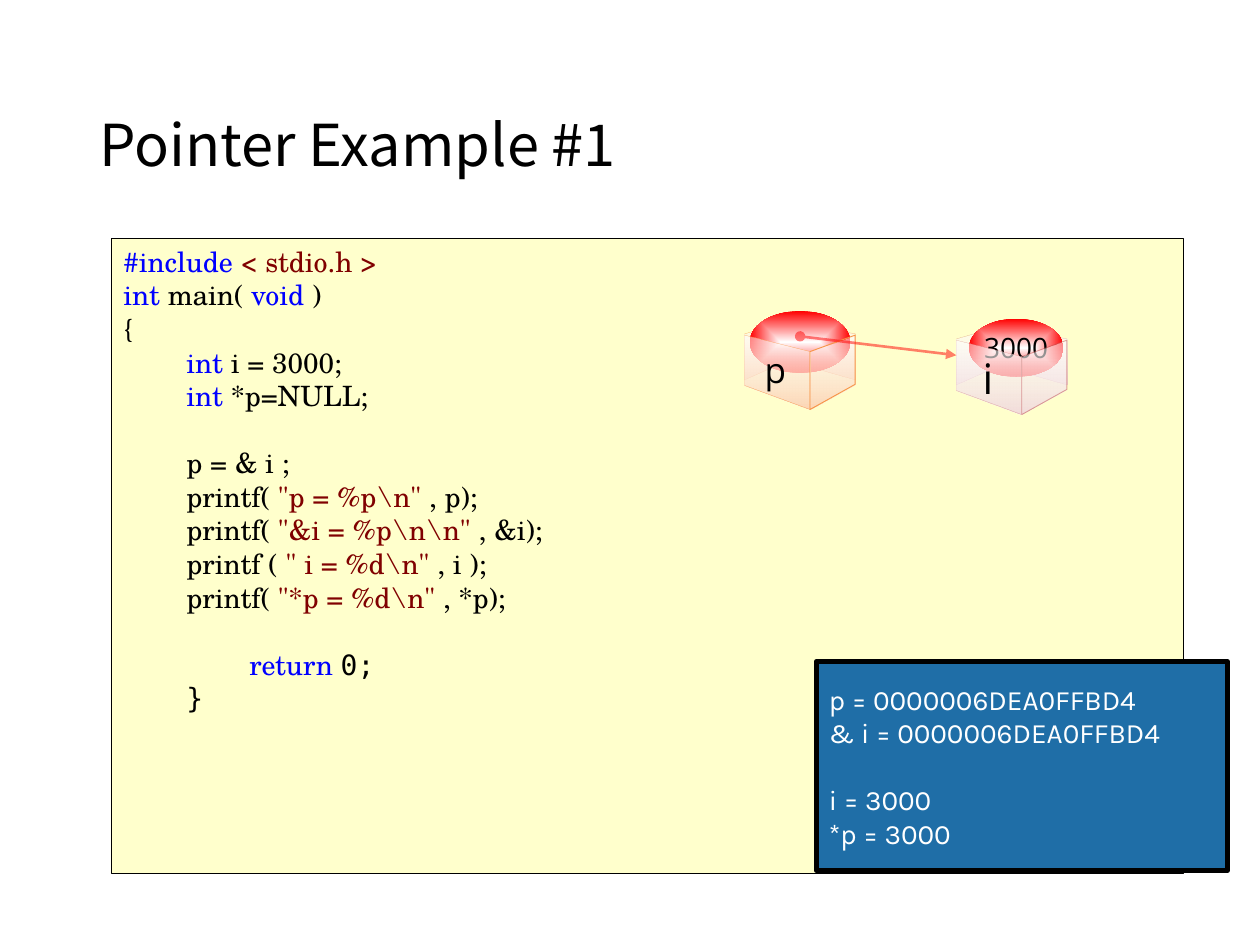
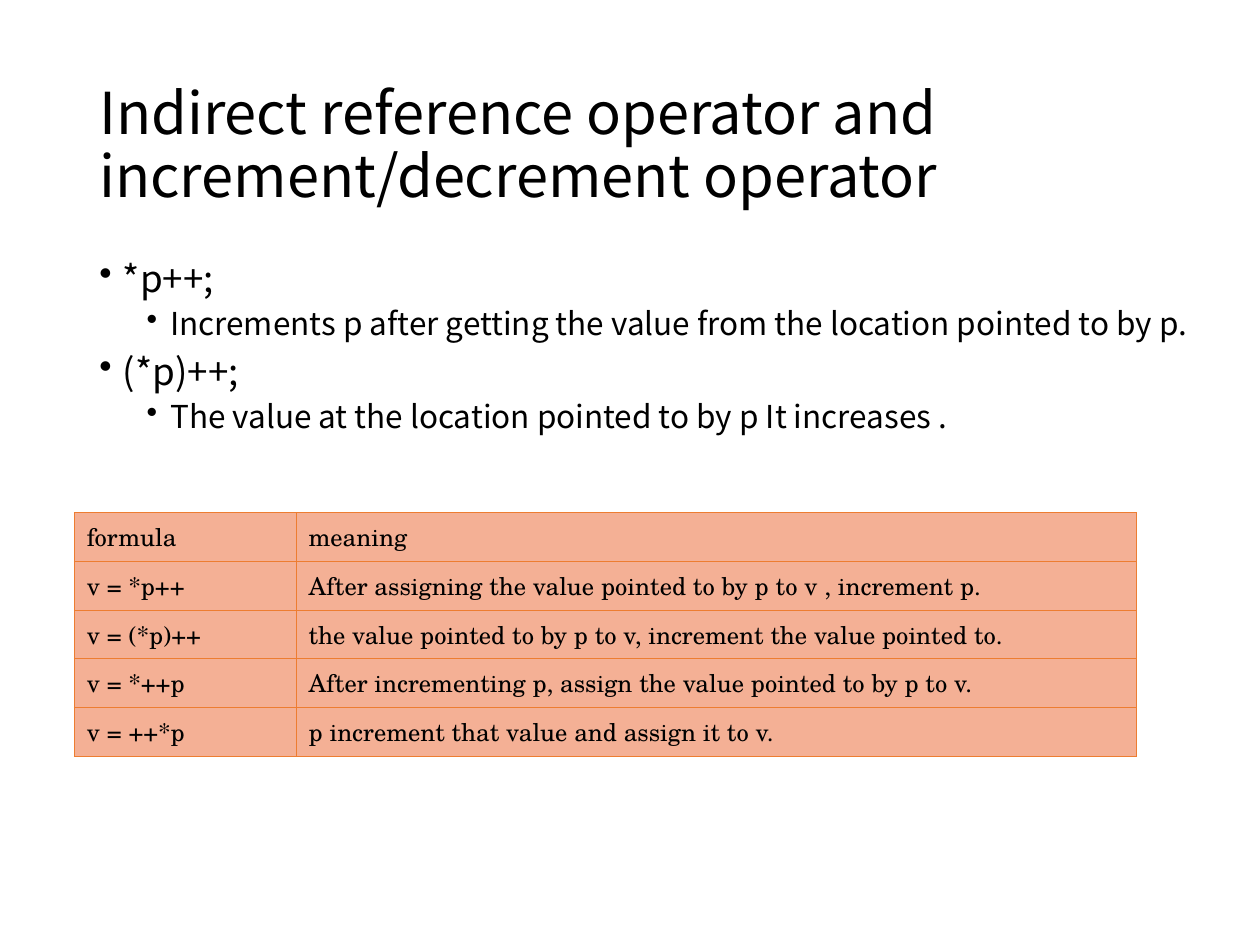
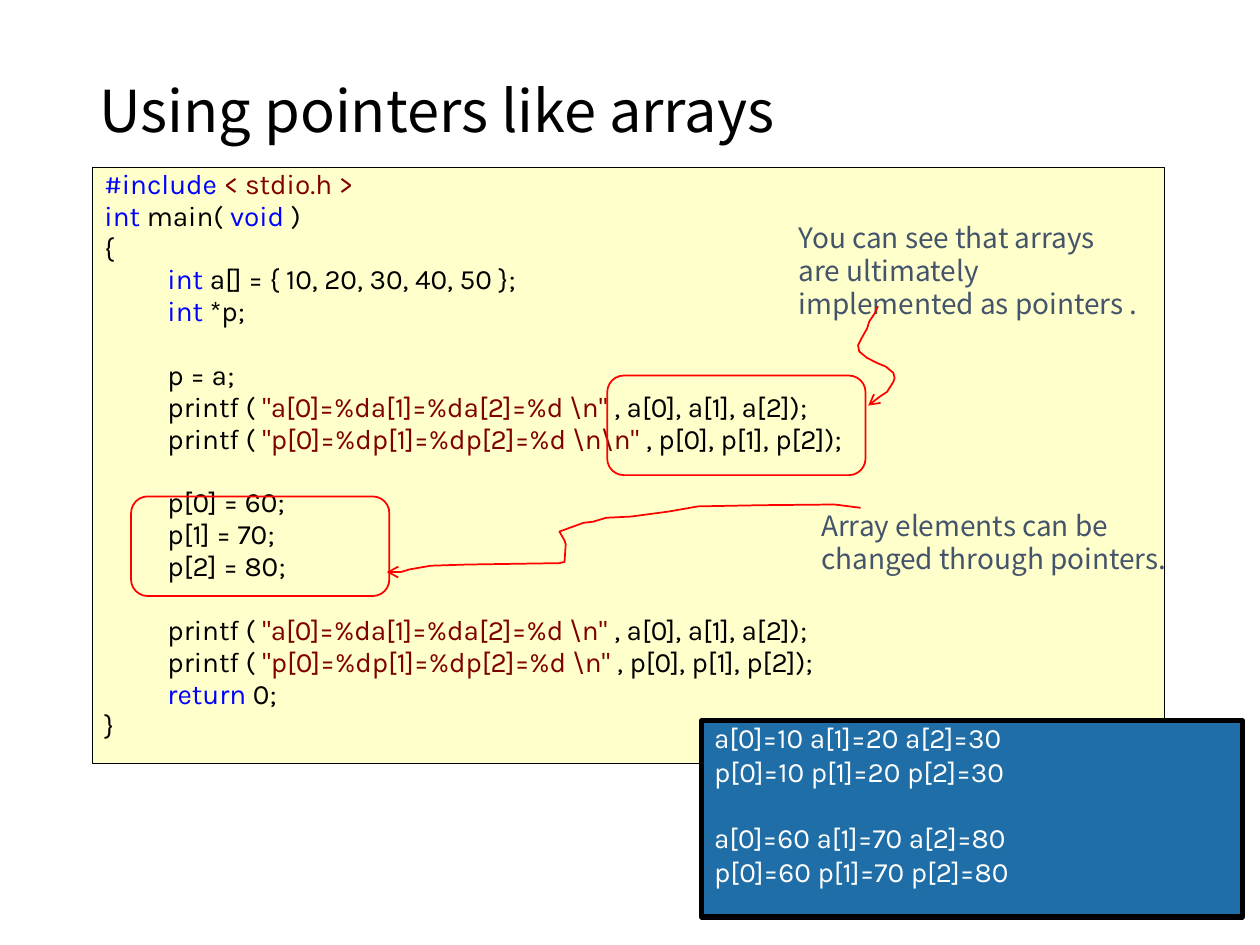
from typing import NamedTuple

from lxml.etree import SubElement
from pptx import Presentation
from pptx.dml.color import RGBColor
from pptx.enum.dml import MSO_FILL
from pptx.enum.shapes import MSO_CONNECTOR, MSO_SHAPE
from pptx.enum.text import MSO_ANCHOR, PP_ALIGN
from pptx.oxml.ns import qn
from pptx.util import Pt

SANS, SERIF, KARLA = "Noto Sans CJK KR", "TeX Gyre Schola", "Karla"
MONO, LABEL = "DejaVu Sans Mono", "Open Sans"
BLACK, WHITE, RED = "000000", "FFFFFF", "FF0000"
KEYWORD, STRING = "0000FF", "800000"
CODE_FILL, CONSOLE_FILL, NOTE = "FFFFCC", "1F6EA7", "44546A"
TABLE_FILL, TABLE_LINE = "F4B095", "ED7D31"
INDENT = 36


class Box(NamedTuple):
    left: float
    top: float
    width: float
    height: float

    def emu(self) -> list:
        return [Pt(v) for v in self]


class Run(NamedTuple):
    text: str
    color: str | None = None
    font: str | None = None


class Line(NamedTuple):
    runs: tuple
    level: int = 0
    gap: float = 0


class Cube(NamedTuple):
    left: float
    top: float
    tint: str
    edge: str
    edge_alpha: int
    disc: Box
    value: str
    name: str
    name_box: Box
    name_size: float


def kw(text: str) -> Run:
    return Run(text, KEYWORD)


def st(text: str) -> Run:
    return Run(text, STRING)


def line(*runs, level: int = 0, gap: float = 0) -> Line:
    return Line(tuple(Run(r) if isinstance(r, str) else r for r in runs), level, gap)


def rgb(color: str) -> RGBColor:
    return RGBColor.from_string(color)


def set_alpha(el, percent: int) -> None:
    """Make the first RGB colour below el partly transparent."""
    SubElement(el.find(".//" + qn("a:srgbClr")), qn("a:alpha")).set("val", str(percent * 1000))


def write(tf, lines, *, size=16, font=SANS, color=BLACK, align=PP_ALIGN.LEFT,
          anchor=MSO_ANCHOR.TOP, wrap=True, spacing=None, before=0,
          indent=INDENT, top=3.6) -> None:
    """Fill a text frame; a Line's gap is added to the space before it."""
    tf.word_wrap, tf.vertical_anchor = wrap, anchor
    tf.margin_top = Pt(top)
    for n, ln in enumerate(lines):
        p = tf.add_paragraph() if n else tf.paragraphs[0]
        p.alignment = align
        p.space_before = Pt(before + ln.gap)
        if spacing:
            p.line_spacing = Pt(spacing)
        if ln.level:
            p._p.get_or_add_pPr().set("marL", str(Pt(indent * ln.level)))
        for run in ln.runs:
            r = p.add_run()
            r.text = run.text
            f = r.font
            f.name, f.size = run.font or font, Pt(size)
            f.color.rgb = rgb(run.color or color)


def add_text(s, box: Box, lines, **fmt):
    sp = s.shapes.add_textbox(*box.emu())
    write(sp.text_frame, lines, **fmt)
    return sp


def style(sp, fill=None, edge=None, width=1.0) -> None:
    sp.shadow.inherit = False
    if fill:
        sp.fill.solid()
        sp.fill.fore_color.rgb = rgb(fill)
    else:
        sp.fill.background()
    if edge:
        sp.line.color.rgb = rgb(edge)
        sp.line.width = Pt(width)
    else:
        sp.line.fill.background()


def add_shape(s, kind, box: Box, **look):
    sp = s.shapes.add_shape(kind, *box.emu())
    style(sp, **look)
    return sp


def add_outline(s, points, closed=False, **look):
    (x, y), *rest = [(Pt(x), Pt(y)) for x, y in points]
    builder = s.shapes.build_freeform(x, y)
    builder.add_line_segments(rest, close=closed)
    sp = builder.convert_to_shape()
    style(sp, **look)
    return sp


def add_gradient(sp, color: str, first_alpha: int = 100, radial: bool = False) -> None:
    """Fill from white to a colour, downwards or from the centre."""
    sp.fill.gradient()
    for stop, c in zip(sp.fill.gradient_stops, (WHITE, color)):
        stop.color.rgb = rgb(c)
    grad = sp._element.spPr.find(qn("a:gradFill"))
    if first_alpha < 100:
        set_alpha(grad, first_alpha)
    if radial:
        grad.remove(grad.find(qn("a:lin")))
        shade = SubElement(grad, qn("a:path"))
        shade.set("path", "shape")
        centre = SubElement(shade, qn("a:fillToRect"))
        for side in "ltrb":
            centre.set(side, "50000")
    else:
        sp.fill.gradient_angle = 270


def add_ends(sp, head=None, tail=None) -> None:
    ln = sp.line._get_or_add_ln()
    for tag, kind in (("a:headEnd", head), ("a:tailEnd", tail)):
        if kind:
            SubElement(ln, qn(tag)).set("type", kind)


def add_title(s, text: str, top: float = 28.8) -> None:
    add_text(s, Box(49.7, top, 620.6, 104.4), [line(text)], size=33,
             anchor=MSO_ANCHOR.MIDDLE, spacing=35.5, top=9)


def add_code(s, box: Box, lines, **fmt) -> None:
    sp = add_shape(s, MSO_SHAPE.RECTANGLE, box, fill=CODE_FILL, edge=BLACK, width=0.25)
    write(sp.text_frame, lines, **fmt)


def add_console(s, box: Box, lines, **fmt) -> None:
    sp = add_shape(s, MSO_SHAPE.RECTANGLE, box, fill=CONSOLE_FILL, edge=BLACK, width=3)
    write(sp.text_frame, lines, font=KARLA, color=WHITE, **fmt)


# Cube faces, measured from the top left corner of the front
BACK_FACES = (
    ((25.2, -7.9), (25.2, 14.8), (63.2, 25.6), (63.2, -0.7)),
    ((0, 25.6), (25.2, 14.4), (25.2, -7.9), (0, -0.7)),
)
FRONT_FACES = (
    ((0, 0), (0, 28.8), (37.4, 42.5), (37.4, 9.4)),
    ((37.4, 42.5), (63.2, 28.1), (63.2, 0), (37.4, 9.4)),
)


def add_faces(s, cube: Cube, faces, widths) -> None:
    for face, width in zip(faces, widths):
        points = [(cube.left + x, cube.top + y) for x, y in face]
        sp = add_outline(s, points, closed=True, edge=cube.edge, width=width)
        add_gradient(sp, cube.tint, first_alpha=50)
        if cube.edge_alpha < 100:
            set_alpha(sp.line._get_or_add_ln(), cube.edge_alpha)


def add_cube(s, cube: Cube) -> None:
    add_faces(s, cube, BACK_FACES, (0.1, 0.1))
    disc = add_shape(s, MSO_SHAPE.OVAL, cube.disc)
    add_gradient(disc, RED, radial=True)
    if cube.value:
        write(disc.text_frame, [line(cube.value)], font=LABEL, align=PP_ALIGN.CENTER,
              anchor=MSO_ANCHOR.MIDDLE, wrap=False)
    add_faces(s, cube, FRONT_FACES, (0.1, 0.5))
    add_text(s, cube.name_box, [line(cube.name)], size=cube.name_size, font=LABEL, wrap=False)


def add_pointer(s, start, end) -> None:
    cx = s.shapes.add_connector(MSO_CONNECTOR.STRAIGHT, *[Pt(v) for v in start + end])
    cx.line.color.rgb = rgb(RED)
    cx.line.width = Pt(1.5)
    set_alpha(cx.line._get_or_add_ln(), 50)
    add_ends(cx, "oval", "triangle")
    SubElement(cx._element.spPr, qn("a:effectLst"))


def add_bullets(s, box: Box, items) -> None:
    """Two-level list; each item is (level, text)."""
    tf = add_text(s, box, [line(text) for _, text in items], top=6).text_frame
    for p, (level, _) in zip(tf.paragraphs, items):
        size, spacing, before, left = ((21, 21.6, 7.5, 13.5), (18, 20.2, 3.8, 40.5))[level]
        p.runs[0].font.size = Pt(size)
        p.line_spacing, p.space_before = Pt(spacing), Pt(before)
        pPr = p._p.get_or_add_pPr()
        pPr.set("marL", str(Pt(left)))
        pPr.set("indent", str(Pt(-13.5)))
        SubElement(pPr, qn("a:buChar")).set("char", "•")


def add_borders(cell) -> None:
    tcPr = cell._tc.get_or_add_tcPr()
    for n, side in enumerate(("lnL", "lnR", "lnT", "lnB")):
        ln = tcPr.makeelement(qn("a:" + side), {"w": str(Pt(0.5))})
        SubElement(SubElement(ln, qn("a:solidFill")), qn("a:srgbClr")).set("val", TABLE_LINE)
        tcPr.insert(n, ln)


def add_grid(s, box: Box, widths, rows) -> None:
    table = s.shapes.add_table(len(rows), len(widths), *box.emu()).table
    for col, width in zip(table.columns, widths):
        col.width = Pt(width)
    for r, row in enumerate(rows):
        table.rows[r].height = Pt(box.height / len(rows))
        for c, text in enumerate(row):
            cell = table.cell(r, c)
            cell.fill.solid()
            cell.fill.fore_color.rgb = rgb(TABLE_FILL)
            cell.vertical_anchor = MSO_ANCHOR.MIDDLE
            write(cell.text_frame, [line(text)], size=14, font=SERIF,
                  align=PP_ALIGN.JUSTIFY, wrap=None, anchor=None)
            add_borders(cell)


HEADER = [
    line(kw("#include "), st("< stdio.h >")),
    line(kw("int "), "main( ", kw("void "), ")"),
    line("{"),
]


def printf(call: str, text: str, args: str, gap: float = 0) -> Line:
    return line(call, st(text), args, level=1, gap=gap)


def pointer_example(s) -> None:
    add_title(s, "Pointer Example #1")
    add_code(s, Box(63.4, 136.1, 612.7, 362.9), HEADER + [
        line(kw("int"), " i = 3000;", level=1),
        line(kw("int "), "*p=NULL;", level=1),
        line("p = & i ;", level=1, gap=19.2),
        printf("printf( ", r'"p = %p\n" ', ", p);"),
        printf("printf( ", r'"&i = %p\n\n" ', ", &i);"),
        printf("printf ( ", r'" i = %d\n" ', ", i );"),
        printf("printf( ", r'"*p = %d\n" ', ", *p);"),
        line(kw("return "), Run("0;", font=MONO), level=2, gap=19.2),
        line(Run("}", font=MONO), level=1),
    ], font=SERIF)
    add_cube(s, Cube(425.5, 191.5, "FCD5B5", "F79646", 100, Box(428.4, 177.8, 57.6, 35.3),
                     "", "p", Box(429.8, 195.8, 28.1, 31.7), 20))
    add_cube(s, Cube(546.5, 194.4, "F2DCDB", "C0504D", 50, Box(553.7, 182.2, 54, 33.1),
                     "3000", "i", Box(554.4, 198, 23.8, 36), 24))
    add_pointer(s, (457.2, 192.2), (546.5, 203))
    add_console(s, Box(466.6, 378, 234.7, 119.5), [
        line("p = 0000006DEA0FFBD4"),
        line("& i = 0000006DEA0FFBD4"),
        line("i = 3000", gap=19),
        line("*p = 3000"),
    ], anchor=MSO_ANCHOR.MIDDLE)


def increment_operators(s) -> None:
    add_title(s, "Indirect reference operator and increment/decrement operator")
    add_bullets(s, Box(49.7, 144, 645.1, 342.7), [
        (0, "*p++;"),
        (1, "Increments p after getting the value from the location pointed to by p."),
        (0, "(*p)++;"),
        (1, "The value at the location pointed to by p It increases ."),
    ])
    add_grid(s, Box(42.5, 292.9, 607, 139.3), (126.7, 480.3), [
        ("formula", "meaning"),
        ("v = *p++", "After assigning the value pointed to by p to v , increment p."),
        ("v = (*p)++", "the value pointed to by p to v, increment the value pointed to."),
        ("v = *++p", "After incrementing p, assign the value pointed to by p to v."),
        ("v = ++*p", "p increment that value and assign it to v."),
    ])


ARRAY_ARROW = [
    (501.8, 175), (499.7, 179.3), (496.8, 183.6), (495.4, 187.9), (492.5, 193),
    (490.3, 197.3), (491, 200.9), (495.4, 204.5), (501.1, 207.4), (506.2, 209.5),
    (510.5, 213.1), (511.2, 216), (510.5, 218.2), (506.9, 223.9), (502.6, 226.8),
    (499.7, 229), (496.1, 231.8),
]
ELEMENT_ARROW = [
    (491.8, 290.2), (477, 288.3), (434.9, 288.7), (398.9, 289.4), (382.3, 292.3),
    (360.7, 295.2), (346.3, 295.9), (339.1, 298.1), (333.4, 298.8), (325.4, 301.7),
    (319.7, 303.8), (322.6, 308.9), (323.3, 311), (322.6, 321.1), (319.7, 321.8),
    (267.1, 322.6), (246.2, 323.3), (234, 325.4), (229, 326.9), (221, 326.9),
]


def pointers_as_arrays(s) -> None:
    add_title(s, "Using pointers like arrays", top=9.4)
    a_print = r'"a[0]=%da[1]=%da[2]=%d \n" ', ", a[0], a[1], a[2]);"
    p_args = ", p[0], p[1], p[2]);"
    gap = 18.2
    add_code(s, Box(52.6, 95.8, 612.7, 340.6), HEADER + [
        line(kw("int "), "a[] = { 10, 20, 30, 40, 50 };", level=1),
        line(kw("int "), "*p;", level=1),
        line("p = a;", level=1, gap=gap),
        printf("printf ( ", *a_print),
        printf("printf ( ", r'"p[0]=%dp[1]=%dp[2]=%d \n\n" ', p_args),
        line("p[0] = 60;", level=1, gap=gap),
        line("p[1] = 70;", level=1),
        line("p[2] = 80;", level=1),
        printf("printf ( ", *a_print, gap=gap),
        printf("printf ( ", r'"p[0]=%dp[1]=%dp[2]=%d \n" ', p_args),
        line(kw("return "), "0;", level=1),
        line("}"),
    ], font=KARLA, spacing=15, before=3.2)
    for left, top in ((347, 214.6), (74.9, 283.7)):
        add_shape(s, MSO_SHAPE.ROUNDED_RECTANGLE, Box(left, top, 147.6, 56.9), edge=RED)
    notes = (
        (Box(449.3, 122.4, 218.2, 65.5), "You can see that arrays",
         "are ultimately implemented as pointers ."),
        (Box(462.2, 287.3, 215.3, 46.1), "Array elements can be",
         "changed through pointers."),
    )
    for box, *texts in notes:
        add_text(s, box, [line(t) for t in texts], color=NOTE, spacing=19)
    for points in (ARRAY_ARROW, ELEMENT_ARROW):
        add_ends(add_outline(s, points, edge=RED), tail="arrow")
    add_console(s, Box(401, 411.8, 308.9, 112.3), [
        line("a[0]=10 a[1]=20 a[2]=30"),
        line("p[0]=10 p[1]=20 p[2]=30"),
        line("a[0]=60 a[1]=70 a[2]=80", gap=19),
        line("p[0]=60 p[1]=70 p[2]=80"),
    ], align=PP_ALIGN.JUSTIFY, top=0)


def main() -> None:
    prs = Presentation()
    prs.slide_width, prs.slide_height = Pt(720), Pt(540)
    for build in (pointer_example, increment_operators, pointers_as_arrays):
        build(prs.slides.add_slide(prs.slide_layouts[6]))
    prs.save("out.pptx")


if __name__ == "__main__":
    main()
